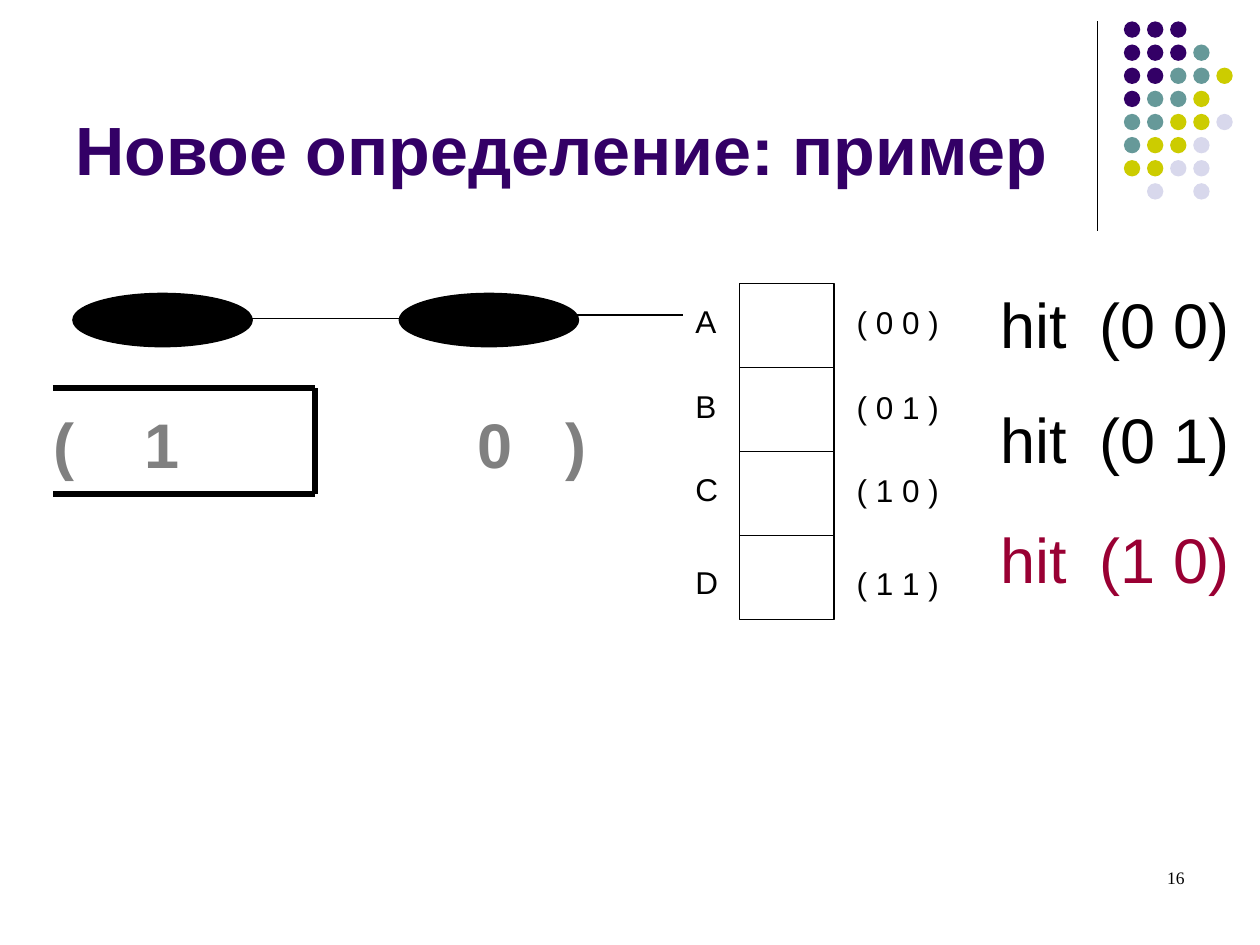
"""Builds the slide that shows hits in a two-level prediction example."""
from dataclasses import dataclass

import lxml.etree
import pptx
import pptx.dml.color
import pptx.enum.shapes
import pptx.enum.text
import pptx.oxml.ns
import pptx.util

Inches = pptx.util.Inches
Shape = pptx.enum.shapes.MSO_SHAPE
Anchor = pptx.enum.text.MSO_ANCHOR
Align = pptx.enum.text.PP_ALIGN
qn = pptx.oxml.ns.qn


@dataclass(frozen=True)
class Theme:
    ink: str = "000000"
    title: str = "330066"
    teal: str = "669999"
    olive: str = "CCCC00"
    pale: str = "D8D8EC"
    history: str = "808080"
    latest: str = "990033"
    font: str = "Arial"
    number_font: str = "Times New Roman"
    title_size: float = 39
    large: float = 36
    label: float = 18
    number: float = 10


def rgb(value):
    return pptx.dml.color.RGBColor.from_string(value)


def write(frame, text, *, size, color, font, bold=False, align=Align.LEFT, tabs=()):
    paragraph = frame.paragraphs[0]
    paragraph.alignment = align
    if tabs:
        stops = lxml.etree.SubElement(paragraph._p.get_or_add_pPr(), qn("a:tabLst"))
        for position in tabs:
            lxml.etree.SubElement(stops, qn("a:tab"), pos=str(Inches(position)), algn="l")
    run = paragraph.add_run()
    run.text = text
    run.font.size = pptx.util.Pt(size)
    run.font.name = font
    run.font.bold = bold
    run.font.color.rgb = rgb(color)


class Canvas:
    def __init__(self, slide, theme):
        self.slide = slide
        self.theme = theme

    def text(self, content, left, top, width, height, *, wrap=False,
             anchor=Anchor.TOP, **style):
        box = self.slide.shapes.add_textbox(
            Inches(left), Inches(top), Inches(width), Inches(height))
        box.text_frame.word_wrap = wrap
        box.text_frame.vertical_anchor = anchor
        defaults = {"size": self.theme.label, "color": self.theme.ink,
                    "font": self.theme.font}
        write(box.text_frame, content, **(defaults | style))

    def shape(self, kind, left, top, width, height, *, fill=None, line=None):
        item = self.slide.shapes.add_shape(
            kind, Inches(left), Inches(top), Inches(width), Inches(height))
        item.shadow.inherit = False
        if fill:
            item.fill.solid()
            item.fill.fore_color.rgb = rgb(fill)
        else:
            item.fill.background()
        if line:
            item.line.color.rgb = rgb(self.theme.ink)
            item.line.width = pptx.util.Pt(line)
        else:
            item.line.fill.background()

    def line(self, x1, y1, x2, y2, weight=0.75):
        item = self.slide.shapes.add_connector(
            pptx.enum.shapes.MSO_CONNECTOR.STRAIGHT,
            Inches(x1), Inches(y1), Inches(x2), Inches(y2))
        item.line.color.rgb = rgb(self.theme.ink)
        item.line.width = pptx.util.Pt(weight)
        lxml.etree.SubElement(item._element.spPr, qn("a:effectLst"))


def draw_ornament(canvas):
    theme = canvas.theme
    colors = {"P": theme.title, "T": theme.teal, "O": theme.olive, "L": theme.pale}
    pattern = ("PPP", "PPPT", "PPTTO", "PTTO", "TTOOL", "TOOL", "OOLL", ".L.L")
    pitch = 0.1835
    canvas.line(8.71, 0.17, 8.71, 1.83)
    for row, dots in enumerate(pattern):
        for column, dot in enumerate(dots):
            if dot in colors:
                canvas.shape(Shape.OVAL, 8.92 + column * pitch, 0.17 + row * pitch,
                             0.13, 0.13, fill=colors[dot])


def draw_table(canvas):
    side = 2 / 3
    label_tops = (2.35, 3.02, 3.68, 4.42)
    entries = (("A", "( 0 0 )"), ("B", "( 0 1 )"), ("C", "( 1 0 )"), ("D", "( 1 1 )"))
    for row, ((letter, code), top) in enumerate(zip(entries, label_tops)):
        canvas.shape(Shape.RECTANGLE, 5.87, 2.25 + row * side, 0.75, side, line=0.75)
        canvas.text(letter, 5.42, top, 0.37, 0.4)
        canvas.text(code, 6.7, top + 0.01, 0.85, 0.4)


def draw_history(canvas):
    theme = canvas.theme
    for left in (0.58, 3.17):
        canvas.shape(Shape.OVAL, left, 2.33, 1.42, 0.42, fill=theme.ink, line=1)
    canvas.line(2, 2.53, 3.17, 2.53)
    canvas.line(4.58, 2.5, 5.42, 2.5)
    canvas.text("(\t1\t0\t)", 0.33, 3.17, 4.67, 0.7, wrap=True, size=theme.large,
                color=theme.history, bold=True, tabs=(0.72, 3.36, 4.06))
    corners = ((0.42, 3.08), (2.5, 3.08), (2.5, 3.92), (0.42, 3.92))
    for start, end in zip(corners, corners[1:]):
        canvas.line(*start, *end, weight=3)


def draw_hits(canvas):
    theme = canvas.theme
    hits = (("(0 0)", 2.22, theme.ink), ("(0 1)", 3.13, theme.ink),
            ("(1 0)", 4.08, theme.latest))
    for code, top, color in hits:
        canvas.text("hit", 7.84, top, 0.73, 0.7, size=theme.large, color=color)
        canvas.text(code, 8.63, top, 1.23, 0.7, size=theme.large, color=color)


def main():
    deck = pptx.Presentation()
    deck.slide_width, deck.slide_height = Inches(10), Inches(7.5)
    theme = Theme()
    canvas = Canvas(deck.slides.add_slide(deck.slide_layouts[6]), theme)
    draw_ornament(canvas)
    canvas.text("Новое определение: пример", 0.5, 0.13, 8.25, 1.42, wrap=True,
                anchor=Anchor.BOTTOM, size=theme.title_size, color=theme.title, bold=True)
    draw_table(canvas)
    draw_history(canvas)
    draw_hits(canvas)
    canvas.text("16", 7.17, 6.83, 2.33, 0.5, wrap=True, size=theme.number,
                font=theme.number_font, align=Align.RIGHT)
    deck.save("out.pptx")


if __name__ == "__main__":
    main()
